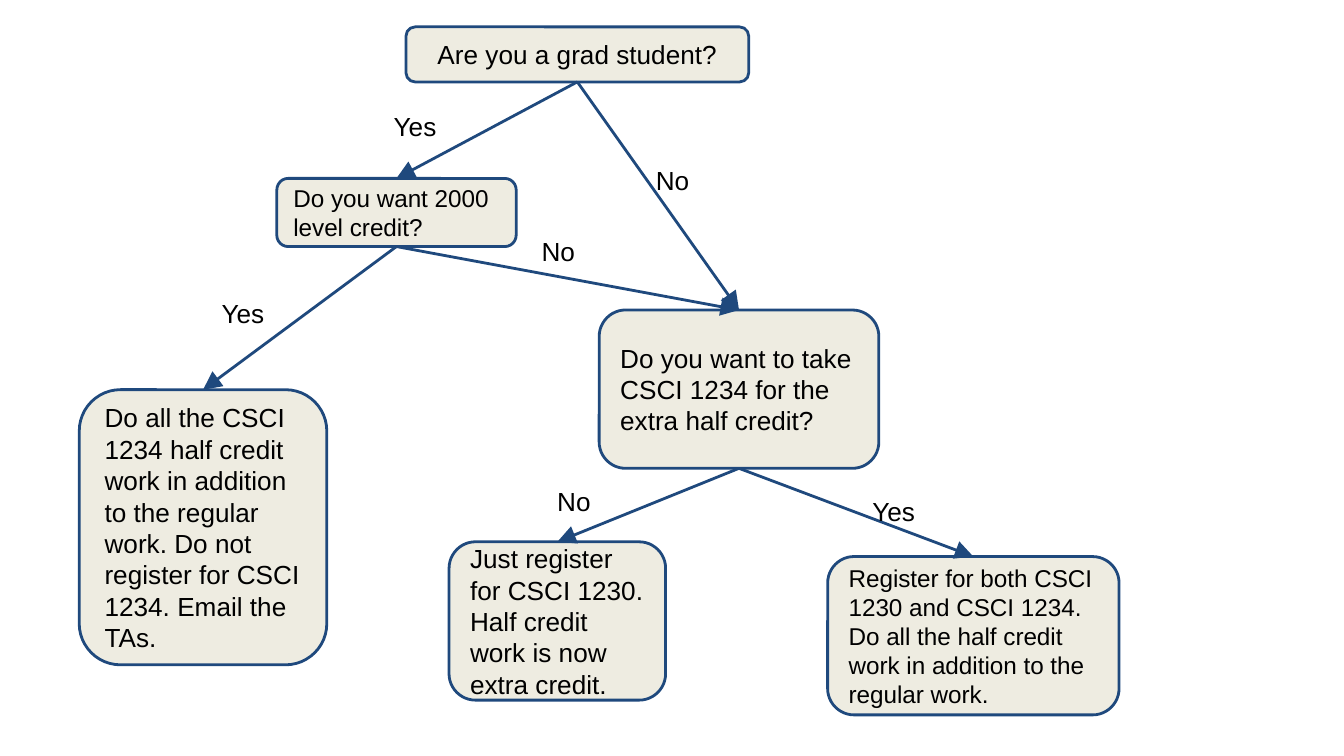
from lxml.etree import SubElement
from pptx import Presentation
from pptx.dml.color import RGBColor
from pptx.enum.shapes import MSO_CONNECTOR, MSO_SHAPE
from pptx.enum.text import MSO_ANCHOR, PP_ALIGN
from pptx.oxml.ns import qn
from pptx.util import Pt

COLORS = {"fill": "EEECE1", "line": "1F497D", "text": "000000"}
FONT = "Arial"
INSET = 7.2
LINE_WIDTH = 1.5
TOP_SITE, BOTTOM_SITE = 0, 2
LABEL_WIDTH, LABEL_HEIGHT = 42.5, 35.3

QUESTIONS = {
    "grad": ((217.5, 14.4, 183.6, 29.5), "Are you a grad student?", 14, PP_ALIGN.CENTER),
    "level": ((148.3, 95.6, 128.2, 36.5), "Do you want 2000 level credit?", 13, PP_ALIGN.LEFT),
    "extra": ((321, 166.1, 149.8, 84.8),
              "Do you want to take CSCI 1234 for the extra half credit?", 14, PP_ALIGN.LEFT),
}
OUTCOMES = {
    "all work": ((42.5, 208.8, 132.6, 147.4),
                 "Do all the CSCI 1234 half credit work in addition to the regular work. "
                 "Do not register for CSCI 1234. Email the TAs.", 14, PP_ALIGN.LEFT),
    "one course": ((240.6, 290.3, 116, 84.8),
                   "Just register for CSCI 1230. Half credit work is now extra credit.",
                   14, PP_ALIGN.LEFT),
    "both courses": ((443.4, 298.2, 156.1, 84.8),
                     "Register for both CSCI 1230 and CSCI 1234. Do all the half credit "
                     "work in addition to the regular work.", 13, PP_ALIGN.LEFT),
}
ANSWERS = [
    ("grad", "extra", "No", (344.2, 80.6)),
    ("grad", "level", "Yes", (203.8, 51.8)),
    ("level", "all work", "Yes", (111.6, 152.2)),
    ("level", "extra", "No", (283, 118.8)),
    ("extra", "one course", "No", (291.4, 252.7)),
    ("extra", "both courses", "Yes", (460.2, 258.4)),
]


def color(name):
    """Return the named palette color."""
    return RGBColor.from_string(COLORS[name])


def write_text(shape, text, size, align, anchor):
    """Set the only paragraph of a shape."""
    frame = shape.text_frame
    frame.word_wrap = True
    frame.vertical_anchor = anchor
    frame.margin_left = frame.margin_right = Pt(INSET)
    frame.margin_top = frame.margin_bottom = Pt(INSET)
    para = frame.paragraphs[0]
    para.alignment = align
    span = para.add_run()
    span.text = text
    span.font.name = FONT
    span.font.size = Pt(size)
    span.font.color.rgb = color("text")


def add_node(page, box, text, size, align):
    """Draw one rounded box of the decision tree."""
    node = page.shapes.add_shape(MSO_SHAPE.ROUNDED_RECTANGLE, *map(Pt, box))
    node.shadow.inherit = False
    node.fill.solid()
    node.fill.fore_color.rgb = color("fill")
    node.line.color.rgb = color("line")
    node.line.width = Pt(LINE_WIDTH)
    write_text(node, text, size, align, MSO_ANCHOR.MIDDLE)
    return node


def add_arrow(page, parent, child):
    """Join the bottom of one node to the top of another."""
    arrow = page.shapes.add_connector(MSO_CONNECTOR.STRAIGHT, 0, 0, 0, 0)
    arrow.begin_connect(parent, BOTTOM_SITE)
    arrow.end_connect(child, TOP_SITE)
    arrow.line.color.rgb = color("line")
    arrow.line.width = Pt(LINE_WIDTH)
    SubElement(arrow.line._get_or_add_ln(), qn("a:tailEnd"), type="triangle", w="lg", len="lg")
    SubElement(arrow._element.spPr, qn("a:effectLst"))


def add_label(page, box, text):
    """Write the answer that belongs to an arrow."""
    label = page.shapes.add_textbox(*map(Pt, box))
    write_text(label, text, 14, PP_ALIGN.LEFT, MSO_ANCHOR.TOP)


def add_decision_tree(page, box):
    """Place nodes, arrows and answers from the corner of the given box."""
    left, top, _, _ = box
    nodes = {}
    for name, ((x, y, width, height), text, size, align) in (QUESTIONS | OUTCOMES).items():
        nodes[name] = add_node(page, (left + x, top + y, width, height), text, size, align)
    for parent, child, answer, (x, y) in ANSWERS:
        add_arrow(page, nodes[parent], nodes[child])
        add_label(page, (left + x, top + y, LABEL_WIDTH, LABEL_HEIGHT), answer)


def main():
    """Build and save the deck."""
    deck = Presentation()
    deck.slide_width, deck.slide_height = Pt(720), Pt(405)
    page = deck.slides.add_slide(deck.slide_layouts[6])
    add_decision_tree(page, (0, 0, 720, 405))
    deck.save("out.pptx")


if __name__ == "__main__":
    main()
